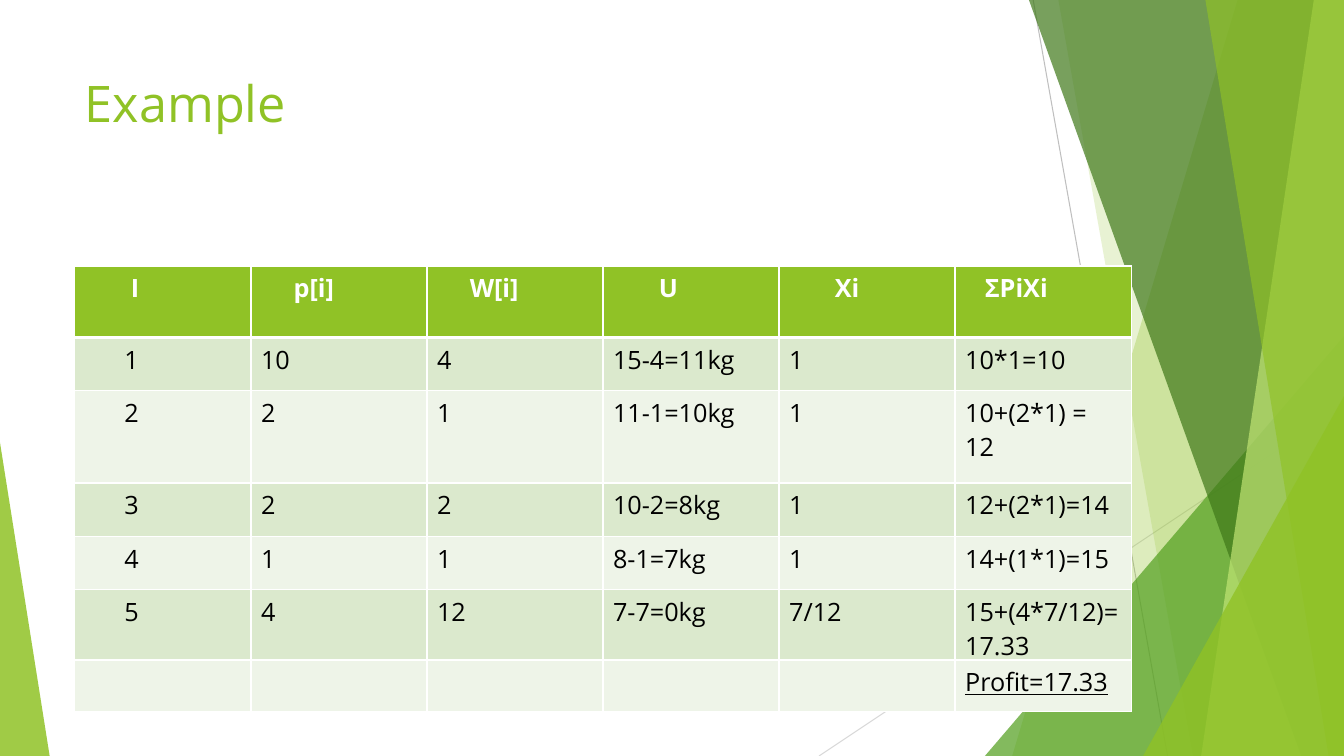
from dataclasses import dataclass

from lxml import etree
from pptx import Presentation
from pptx.dml.color import RGBColor
from pptx.enum.shapes import MSO_CONNECTOR, MSO_SHAPE
from pptx.enum.text import MSO_ANCHOR
from pptx.oxml.ns import qn
from pptx.util import Pt

STRAIGHT = MSO_CONNECTOR.STRAIGHT
TRIANGLE = MSO_SHAPE.ISOSCELES_TRIANGLE
TOP = MSO_ANCHOR.TOP


@dataclass(frozen=True)
class Theme:
    font: str = "Open Sans"
    title_size: int = 36
    table_size: int = 18
    accent: str = "90C226"
    leaf: str = "54A021"
    forest: str = "3F7819"
    lime: str = "C0E474"
    line_dark: str = "BFBFBF"
    line_light: str = "D9D9D9"
    white: str = "FFFFFF"
    black: str = "000000"
    row_fills: tuple = ("DBE9CD", "EEF4E8")


@dataclass(frozen=True)
class Box:
    left: float
    top: float
    width: float
    height: float

    def lengths(self):
        return [Pt(value) for value in (self.left, self.top, self.width, self.height)]


THEME = Theme()
PAGE = Box(0, 0, 960, 540)
SPACE_WIDTH = 4.68
CELL_MARGIN = 7.2
ROW_HEIGHTS = (51, 38, 66, 38, 38, 38, 37)
HEADER_INDENTS = (7, 5, 5, 7, 7, 3)
BODY_INDENTS = (6, 0, 0, 0, 0, 0)
ROWS = (
    ("I", "p[i]", "W[i]", "U", "Xi", "ΣPiXi"),
    ("1", "10", "4", "15-4=11kg", "1", "10*1=10"),
    ("2", "2", "1", "11-1=10kg", "1", "10+(2*1) = 12"),
    ("3", "2", "2", "10-2=8kg", "1", "12+(2*1)=14"),
    ("4", "1", "1", "8-1=7kg", "1", "14+(1*1)=15"),
    ("5", "4", "12", "7-7=0kg", "7/12", "15+(4*7/12)=17.33"),
    ("", "", "", "", "", "Profit=17.33"),
)


def format_text(target, color, **values):
    target.font.color.rgb = RGBColor.from_string(color)
    for name, value in values.items():
        setattr(target.font, name, value)


def paint(shape, color, opacity):
    shape.shadow.inherit = False
    shape.line.fill.background()
    shape.fill.solid()
    shape.fill.fore_color.rgb = RGBColor.from_string(color)
    shade = shape.fill._xPr.find(".//" + qn("a:srgbClr"))
    etree.SubElement(shade, qn("a:alpha"), val=str(opacity * 1000))


def add_line(page, start, end, color):
    line = page.shapes.add_connector(STRAIGHT, *map(Pt, start + end))
    line.line.color.rgb = RGBColor.from_string(color)
    line.line.width = Pt(0.75)
    etree.SubElement(line._element.spPr, qn("a:effectLst"))


def add_band(page, box, top_x, bottom_x, color, opacity):
    right, bottom = box.left + box.width, box.top + box.height
    corners = [(box.left + top_x, box.top), (right, box.top),
               (right, bottom), (box.left + bottom_x, bottom)]
    points = [(Pt(x), Pt(y)) for x, y in corners]
    builder = page.shapes.build_freeform(*points[0])
    builder.add_line_segments(points[1:], close=True)
    paint(builder.convert_to_shape(), color, opacity)


def add_triangle(page, box, apex, color, opacity):
    triangle = page.shapes.add_shape(TRIANGLE, *box.lengths())
    triangle.adjustments[0] = apex
    paint(triangle, color, opacity)


def add_corner_triangle(page, box, left, top, color, opacity):
    corner = Box(box.left + left, box.top + top, box.width - left, box.height - top)
    add_triangle(page, corner, 1, color, opacity)


def add_facets(page, box):
    for x1, y1, x2, y2, color in ((158, 0, 254, 540, THEME.line_dark),
                                  (380, 290, 5, 540, THEME.line_light)):
        add_line(page, (box.left + x1, box.top + y1),
                 (box.left + x2, box.top + y2), color)
    for draw, first, second, color, opacity in (
        (add_band, 304, 143, THEME.accent, 30),
        (add_band, 176, 272, THEME.accent, 20),
        (add_corner_triangle, 123.5, 240, THEME.leaf, 72),
        (add_band, 155, 349.5, THEME.forest, 70),
        (add_band, 358.5, 278, THEME.lime, 70),
        (add_band, 281, 369, THEME.accent, 65),
        (add_corner_triangle, 236.5, 283, THEME.accent, 80),
    ):
        draw(page, box, first, second, color, opacity)


def add_title(page, box, text):
    frame = page.shapes.add_textbox(*box.lengths()).text_frame
    frame.word_wrap = True
    frame.vertical_anchor = TOP
    span = frame.paragraphs[0].add_run()
    span.text = text
    format_text(span, THEME.accent, name=THEME.font, size=Pt(THEME.title_size))


def add_borders(cell, widths):
    properties = cell._tc.get_or_add_tcPr()
    for side, width in widths.items():
        border = etree.SubElement(properties, qn("a:ln" + side), w=str(Pt(width)))
        fill = etree.SubElement(border, qn("a:solidFill"))
        etree.SubElement(fill, qn("a:srgbClr"), val=THEME.white)


def fill_cell(cell, text, row, indent):
    header = row == 0
    add_borders(cell, {"L": 1, "R": 1, "T": 3 if row == 1 else 1, "B": 3 if header else 1})
    cell.fill.solid()
    color = THEME.accent if header else THEME.row_fills[(row - 1) % 2]
    cell.fill.fore_color.rgb = RGBColor.from_string(color)
    cell.margin_left = Pt(CELL_MARGIN + indent * SPACE_WIDTH)
    para = cell.text_frame.paragraphs[0]
    para.font.size = Pt(THEME.table_size)
    if text:
        span = para.add_run()
        span.text = text
        format_text(span, THEME.white if header else THEME.black,
                    name=THEME.font, size=Pt(THEME.table_size), bold=header,
                    underline=row == len(ROWS) - 1)


def add_profit_table(page, box):
    table = page.shapes.add_table(len(ROWS), len(ROWS[0]), *box.lengths()).table
    for column in table.columns:
        column.width = Pt(box.width / len(ROWS[0]))
    for row, texts in enumerate(ROWS):
        table.rows[row].height = Pt(ROW_HEIGHTS[row])
        indents = BODY_INDENTS if row else HEADER_INDENTS
        for column, text in enumerate(texts):
            fill_cell(table.cell(row, column), text, row, indents[column])


def main():
    deck = Presentation()
    deck.slide_width, deck.slide_height = Pt(PAGE.width), Pt(PAGE.height)
    page = deck.slides.add_slide(deck.slide_layouts[6])
    add_facets(page, Box(580, 0, 380, PAGE.height))
    add_triangle(page, Box(0, 316, 35.5, 224), 0, THEME.accent, 85)
    add_title(page, Box(53.5, 48, 677, 104), "Example")
    add_profit_table(page, Box(53.5, 190, 754.5, sum(ROW_HEIGHTS)))
    deck.save("out.pptx")


if __name__ == "__main__":
    main()
